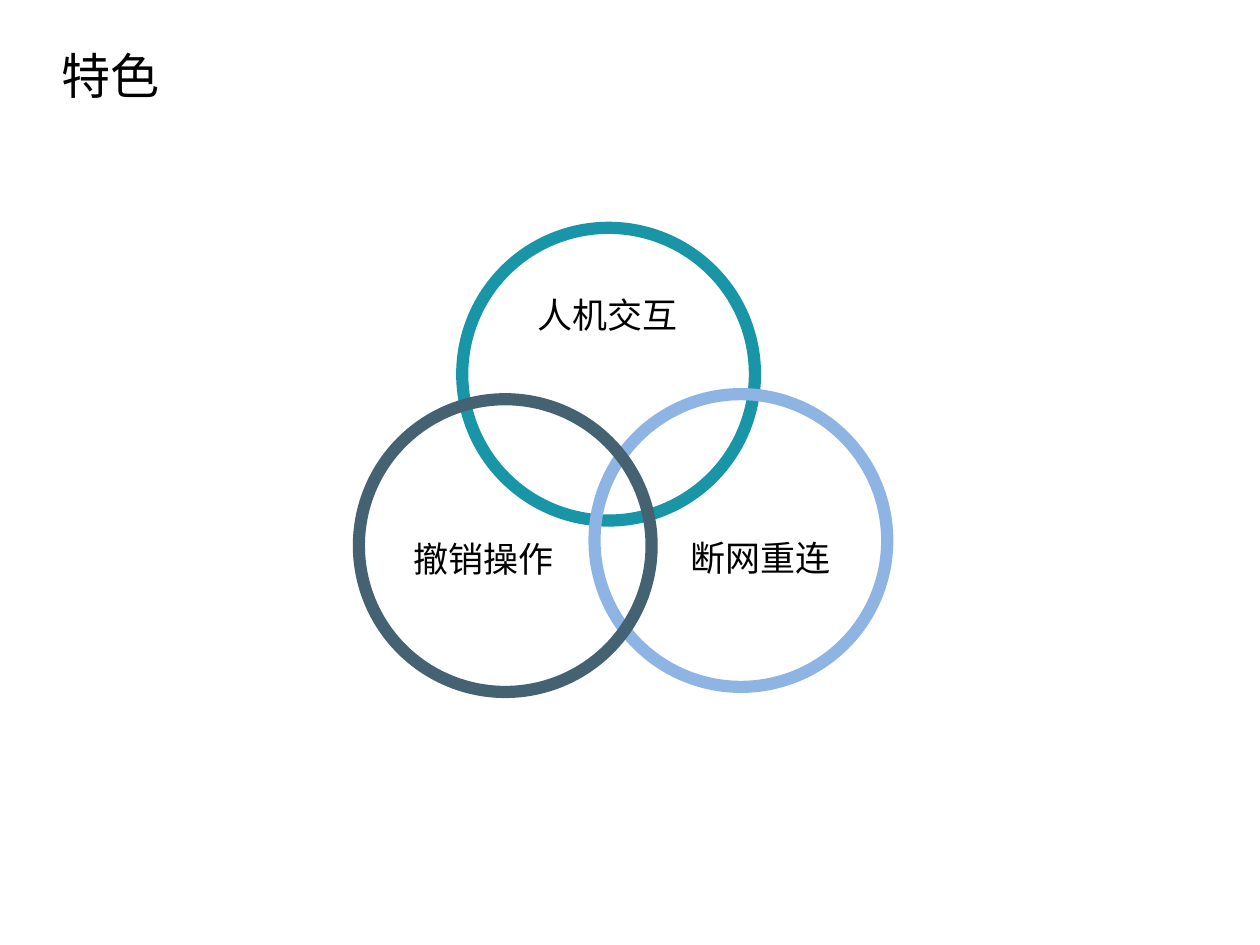
from dataclasses import dataclass

from lxml.etree import SubElement
from pptx import Presentation
from pptx.dml.color import RGBColor
from pptx.enum.shapes import MSO_SHAPE
from pptx.enum.text import MSO_AUTO_SIZE
from pptx.oxml.ns import qn
from pptx.util import Inches, Pt

COLORS = {"text": "000000", "teal": "1895A7", "blue": "8EB4E3", "slate": "456272"}
SANS = "Open Sans"
CJK = "Noto Sans CJK SC"
RING_SIZE = 2.42
RING_THICKNESS = 0.04
LABEL_SIZE = (1.32, 0.44)


@dataclass
class Ring:
    label: str
    color: str
    left: float
    top: float
    label_left: float
    label_top: float
    font: str = SANS


RINGS = [
    Ring("人机交互", "teal", 3.62, 1.76, 4.17, 2.28, CJK),
    Ring("断网重连", "blue", 4.67, 3.08, 5.38, 4.21),
    Ring("撤销操作", "slate", 2.8, 3.12, 3.18, 4.22),
]


def add_label(shapes, text: str, left: float, top: float,
              width: float, height: float, size: int, font: str) -> None:
    sp = shapes.add_textbox(Inches(left), Inches(top), Inches(width), Inches(height))
    tf = sp.text_frame
    tf.text = text
    tf.word_wrap = False
    tf.auto_size = MSO_AUTO_SIZE.SHAPE_TO_FIT_TEXT
    r = tf.paragraphs[0].runs[0]
    r.font.size = Pt(size)
    r.font.color.rgb = RGBColor.from_string(COLORS["text"])
    r.font.name = font
    # East Asian typeface for the Chinese characters
    SubElement(r.font._element, qn("a:ea")).set("typeface", font)


def add_ring(shapes, ring: Ring) -> None:
    group = shapes.add_group_shape()
    sp = group.shapes.add_shape(MSO_SHAPE.DONUT, Inches(ring.left), Inches(ring.top),
                                Inches(RING_SIZE), Inches(RING_SIZE))
    sp.adjustments[0] = RING_THICKNESS
    sp.shadow.inherit = False
    sp.fill.solid()
    sp.fill.fore_color.rgb = RGBColor.from_string(COLORS[ring.color])
    sp.line.fill.background()
    add_label(group.shapes, ring.label, ring.label_left, ring.label_top,
              *LABEL_SIZE, 20, ring.font)


def main() -> None:
    prs = Presentation()
    prs.slide_width, prs.slide_height = Inches(10), Inches(7.5)
    s = prs.slides.add_slide(prs.slide_layouts[6])

    # Title
    add_label(s.shapes, "特色", 0.39, 0.31, 0.99, 0.57, 28, SANS)

    # Overlapping rings with their labels
    for ring in RINGS:
        add_ring(s.shapes, ring)

    prs.save("out.pptx")


if __name__ == "__main__":
    main()
